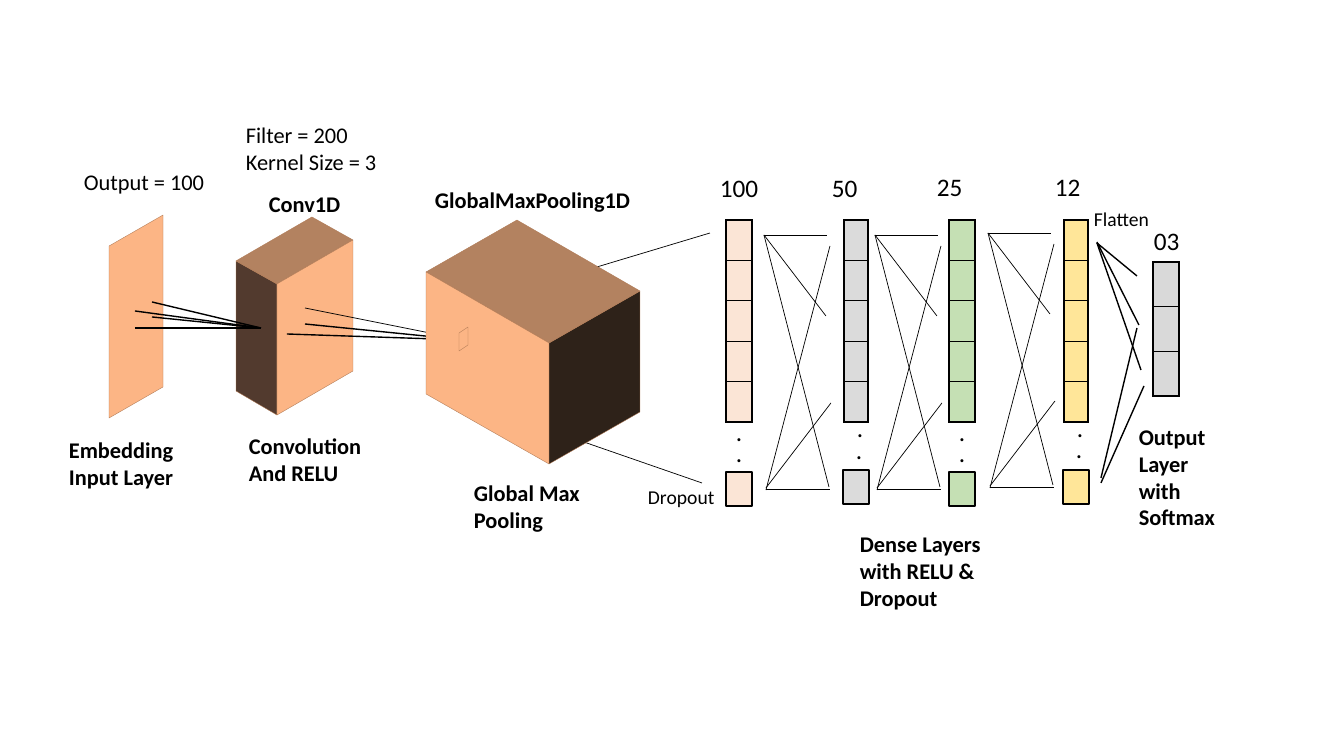
from dataclasses import dataclass

from lxml.etree import SubElement
from pptx import Presentation
from pptx.dml.color import RGBColor
from pptx.enum.shapes import MSO_CONNECTOR as Connector, MSO_SHAPE as Preset
from pptx.enum.text import MSO_ANCHOR as Anchor
from pptx.oxml import parse_xml
from pptx.oxml.ns import nsdecls, qn
from pptx.util import Pt

EMU_PER_PX = 12192000 / 1344
FONT = "Calibri"
COLOURS = {
    "black": "000000", "front": "FCB585", "top": "B38260", "side": "523A2E",
    "deep": "2E2219", "edge": "B07A55", "peach": "FBE5D6", "grey": "DBDBDB",
    "green": "C5E0B4", "yellow": "FFE699", "output": "D9D9D9",
}
Point = tuple[int, int]


@dataclass(frozen=True)
class Label:
    text: str
    left: int
    top: int
    width: int
    height: int
    size: int = 16
    bold: bool = False


@dataclass(frozen=True)
class Face:
    colour: str
    corners: tuple[Point, ...]


@dataclass(frozen=True)
class Line:
    start: Point
    end: Point
    weight: float = 0.5


@dataclass(frozen=True)
class DenseLayer:
    units: str
    colour: str
    left: int
    width: int
    last_left: int
    last_top: int
    dots: tuple[Point, Point]
    units_at: Point


EMBEDDING = [Face("front", ((109, 246), (163, 215), (163, 387), (109, 418)))]
CONVOLUTION = [
    Face("side", ((236, 261), (277, 284), (277, 415), (236, 391))),
    Face("top", ((236, 261), (312, 217), (353, 240), (277, 284))),
    Face("front", ((277, 284), (353, 240), (353, 371), (277, 415))),
]
POOLING = [
    Face("deep", ((549, 343), (640, 291), (640, 412), (549, 464))),
    Face("top", ((426, 272), (517, 220), (640, 291), (549, 343))),
    Face("front", ((426, 272), (549, 343), (549, 464), (426, 394))),
    Face("front", ((459, 333), (468, 327), (468, 345), (459, 351))),
]

POOLING_TO_DENSE = [Line((710, 233), (547, 282)), Line((555, 432), (702, 483))]
EMBEDDING_TO_CONVOLUTION = [
    Line(start, (261, 328), 1)
    for start in ((152, 302), (135, 311), (135, 328), (152, 317))
]
CONVOLUTION_TO_POOLING = [
    Line((287, 334), (465, 340), 1),
    Line((305, 324), (465, 340), 1),
    Line((305, 308), (465, 340)),
]
DENSE_TO_OUTPUT = [
    Line((1097, 243), (1137, 276), 1),
    Line((1097, 242), (1139, 325), 1),
    Line((1097, 243), (1141, 370), 1),
    Line((1101, 478), (1137, 328), 1),
    Line((1101, 483), (1144, 386), 1),
]
FAN_ORIGINS = [(764, 235), (875, 235), (988, 233)]
FAN = [
    Line((0, 0), (63, 0)), Line((0, 0), (62, 81)), Line((0, 0), (65, 252)),
    Line((66, 11), (2, 255)), Line((2, 254), (66, 254)), Line((2, 253), (67, 168)),
]

DENSE_LAYERS = [
    DenseLayer("100", "peach", 726, 26, 726, 472, ((726, 411), (726, 432)), (710, 167)),
    DenseLayer("50", "grey", 844, 24, 843, 470, ((847, 407), (846, 429)), (822, 167)),
    DenseLayer("25", "green", 949, 26, 949, 472, ((949, 411), (949, 432)), (927, 166)),
    DenseLayer("12", "yellow", 1064, 24, 1063, 470, ((1067, 407), (1066, 428)), (1045, 166)),
]

LABELS = [
    Label("Embedding Input Layer", 59, 431, 159, 65, bold=True),
    Label("Filter = 200\nKernel Size = 3", 236, 116, 182, 65),
    Label("Global Max Pooling", 464, 474, 152, 65, bold=True),
    Label("Convolution\nAnd RELU", 239, 427, 182, 65, bold=True),
    Label("Dense Layers with RELU & Dropout", 850, 525, 182, 92, bold=True),
    Label("03", 1144, 220, 58, 40, 18),
    Label("Flatten", 1084, 202, 87, 34, 14),
    Label("Output Layer with Softmax", 1129, 418, 115, 119, bold=True),
    Label("Output = 100", 74, 163, 169, 37),
    Label("Dropout", 638, 480, 89, 34, 14),
    Label("GlobalMaxPooling1D", 425, 181, 239, 37, bold=True),
    Label("Conv1D", 259, 185, 112, 37, bold=True),
]


def px(length: float) -> int:
    return round(length * EMU_PER_PX)


def colour(name: str) -> RGBColor:
    return RGBColor.from_string(COLOURS[name])


def paint(shape, fill: str, edge: str, weight: float) -> None:
    shape.shadow.inherit = False
    shape.fill.solid()
    shape.fill.fore_color.rgb = colour(fill)
    shape.line.color.rgb = colour(edge)
    shape.line.width = Pt(weight)


def draw_faces(page, faces: list[Face]) -> None:
    for face in faces:
        first, *rest = face.corners
        outline = page.shapes.build_freeform(*first, scale=EMU_PER_PX)
        outline.add_line_segments(rest, close=True)
        paint(outline.convert_to_shape(), face.colour, "edge", 0.25)


def draw_lines(page, lines: list[Line], origin: Point = (0, 0)) -> None:
    for line in lines:
        ends = [px(base + offset) for end in (line.start, line.end)
                for base, offset in zip(origin, end)]
        connector = page.shapes.add_connector(Connector.STRAIGHT, *ends)
        connector.line.color.rgb = colour("black")
        connector.line.width = Pt(line.weight)
        SubElement(connector._element.spPr, qn("a:effectLst"))


def draw_label(page, label: Label) -> None:
    box = page.shapes.add_textbox(px(label.left), px(label.top), px(label.width), px(label.height))
    frame = box.text_frame
    frame.word_wrap = True
    for index, text in enumerate(label.text.split("\n")):
        para = frame.add_paragraph() if index else frame.paragraphs[0]
        span = para.add_run()
        span.text = text
        span.font.name = FONT
        span.font.size = Pt(label.size)
        span.font.bold = label.bold
        span.font.color.rgb = colour("black")


def format_cell(cell, fill: str) -> None:
    cell.margin_left = cell.margin_right = cell.margin_top = cell.margin_bottom = 0
    cell.vertical_anchor = Anchor.MIDDLE
    cell.fill.solid()
    cell.fill.fore_color.rgb = colour(fill)
    properties = cell._tc.get_or_add_tcPr()
    for index, side in enumerate("LRTB"):
        properties.insert(index, parse_xml(
            f'<a:ln{side} {nsdecls("a")} w="{Pt(1)}"><a:solidFill>'
            f'<a:srgbClr val="{COLOURS["black"]}"/></a:solidFill></a:ln{side}>'))


def draw_column(page, fill: str, left: int, top: int, width: int, height: int, rows: int) -> None:
    table = page.shapes.add_table(rows, 1, px(left), px(top), px(width), px(height)).table
    table.first_row = table.horz_banding = False
    for row in table.rows:
        row.height = px(height / rows)
        format_cell(row.cells[0], fill)


def draw_dense_layer(page, layer: DenseLayer) -> None:
    draw_column(page, layer.colour, layer.left, 220, layer.width, 202, 5)
    last_unit = page.shapes.add_shape(
        Preset.RECTANGLE, px(layer.last_left), px(layer.last_top), px(26), px(34))
    paint(last_unit, layer.colour, "black", 1)
    for left, top in layer.dots:
        draw_label(page, Label(".", left, top, 28, 40, 18))
    draw_label(page, Label(layer.units, *layer.units_at, 62, 40, 18))


def main() -> None:
    deck = Presentation()
    deck.slide_width, deck.slide_height = px(1344), px(756)
    page = deck.slides.add_slide(deck.slide_layouts[6])
    draw_faces(page, EMBEDDING)
    draw_lines(page, POOLING_TO_DENSE)
    draw_faces(page, CONVOLUTION)
    draw_lines(page, EMBEDDING_TO_CONVOLUTION + CONVOLUTION_TO_POOLING)
    draw_faces(page, POOLING)
    for layer in DENSE_LAYERS:
        draw_dense_layer(page, layer)
    for origin in FAN_ORIGINS:
        draw_lines(page, FAN, origin)
    draw_column(page, "output", 1153, 262, 26, 134, 3)
    draw_lines(page, DENSE_TO_OUTPUT)
    for label in LABELS:
        draw_label(page, label)
    deck.save("out.pptx")


if __name__ == "__main__":
    main()
